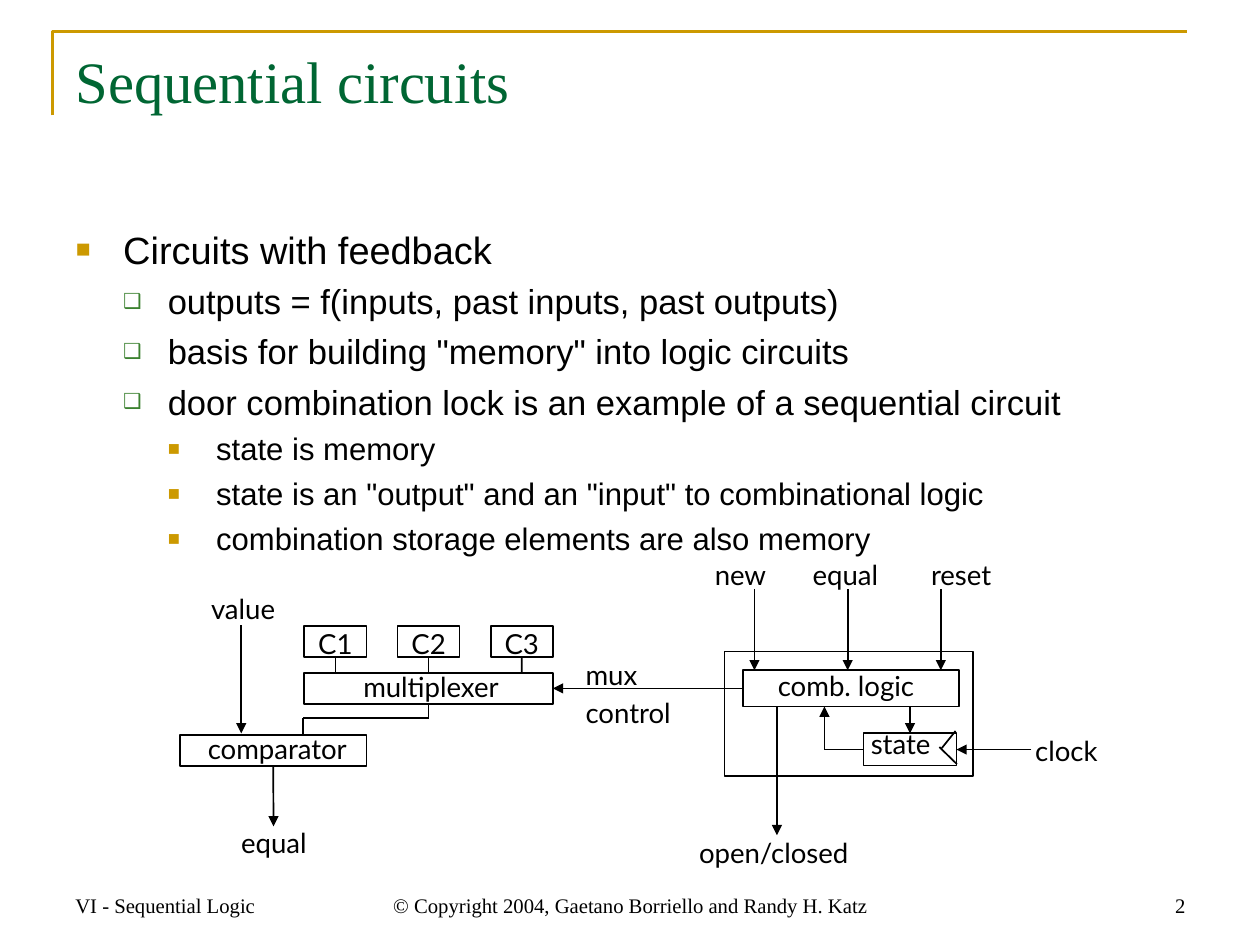
from lxml import etree
from pptx import Presentation
from pptx.dml.color import RGBColor
from pptx.enum.shapes import MSO_CONNECTOR, MSO_SHAPE
from pptx.enum.text import MSO_ANCHOR, MSO_AUTO_SIZE, PP_ALIGN
from pptx.oxml.ns import qn
from pptx.util import Cm, Pt

LEFT, CENTER, RIGHT = PP_ALIGN.LEFT, PP_ALIGN.CENTER, PP_ALIGN.RIGHT
TOP, BOTTOM = MSO_ANCHOR.TOP, MSO_ANCHOR.BOTTOM
RECT, STRAIGHT = MSO_SHAPE.RECTANGLE, MSO_CONNECTOR.STRAIGHT
NO_FIT = MSO_AUTO_SIZE.NONE

BLACK = RGBColor(0x00, 0x00, 0x00)
GOLD = RGBColor(0xCC, 0x99, 0x00)
DARK_GREEN = RGBColor(0x00, 0x66, 0x33)
LEAF_GREEN = RGBColor(0x3B, 0x81, 0x2F)
SERIF, SANS, LABEL = "Times New Roman", "Arial", "Lato"

# Per level: size, left margin, hanging indent, space before, bullet, colour, percent
LEVELS = [
    (22, 0.97, 0.97, 0, "■", GOLD, 65),
    (20, 1.88, 0.91, 5, "❑", LEAF_GREEN, 60),
    (18, 2.87, 0.99, 4.5, "■", GOLD, 65),
]
TOP_SIDE, LEFT_SIDE, BOTTOM_SIDE, RIGHT_SIDE = range(4)


class Deck:
    def __init__(self, width, height):
        self.prs = Presentation()
        self.prs.slide_width, self.prs.slide_height = width, height
        self.s = self.prs.slides.add_slide(self.prs.slide_layouts[5])

    def run(self, p, text, size, font, color=BLACK):
        r = p.add_run()
        r.text = text
        r.font.size, r.font.name = Pt(size), font
        r.font.color.rgb = color

    def title(self, text, x, y, w, h):
        sp = self.s.shapes.title
        sp.left, sp.top, sp.width, sp.height = Cm(x), Cm(y), Cm(w), Cm(h)
        tf = sp.text_frame
        tf.auto_size, tf.vertical_anchor = NO_FIT, TOP
        p = tf.paragraphs[0]
        p.alignment = LEFT
        self.run(p, text, 34, SERIF, DARK_GREEN)

    def frame(self, x, y, w, h, anchor=TOP):
        tf = self.s.shapes.add_textbox(Cm(x), Cm(y), Cm(w), Cm(h)).text_frame
        tf.word_wrap, tf.vertical_anchor = True, anchor
        return tf

    def bullets(self, items, x, y, w, h):
        tf = self.frame(x, y, w, h)
        for i, (level, text) in enumerate(items):
            size, margin, hang, before, char, color, percent = LEVELS[level]
            p = tf.paragraphs[0] if i == 0 else tf.add_paragraph()
            p.level, p.space_before = level, Pt(before)
            pPr = p._p.get_or_add_pPr()
            pPr.set("marL", str(Cm(margin)))
            pPr.set("indent", str(-Cm(hang)))
            clr = etree.SubElement(pPr, qn("a:buClr"))
            etree.SubElement(clr, qn("a:srgbClr"), val=str(color))
            etree.SubElement(pPr, qn("a:buSzPct"), val=str(percent * 1000))
            etree.SubElement(pPr, qn("a:buFont"), typeface=SANS)
            etree.SubElement(pPr, qn("a:buChar"), char=char)
            self.run(p, text, size, SANS)

    def label(self, text, x, y, w, align=CENTER, spacing=22):
        lines = text.split("\n")
        tf = self.frame(x, y, w, 0.94 if spacing == 17 else 0.34 + 0.78 * len(lines))
        tf.margin_left = tf.margin_right = Cm(0.05)
        tf.margin_top = tf.margin_bottom = Cm(0.08)
        p = tf.paragraphs[0]
        p.alignment, p.line_spacing = align, Pt(spacing)
        for i, line in enumerate(lines):
            if i:
                p.add_line_break()
            self.run(p, line, 16, LABEL)

    def footer(self, text, x, w, align):
        p = self.frame(x, 17.58, w, 1.3, BOTTOM).paragraphs[0]
        p.alignment = align
        self.run(p, text, 12, SERIF)

    def outline(self, sp, color, width):
        sp.shadow.inherit = False
        sp.fill.background()
        sp.line.color.rgb, sp.line.width = color, Pt(width)

    def box(self, x, y, w, h):
        sp = self.s.shapes.add_shape(RECT, Cm(x), Cm(y), Cm(w), Cm(h))
        self.outline(sp, BLACK, 1)
        return sp

    def polyline(self, points, color, width):
        start, *rest = [(Cm(x), Cm(y)) for x, y in points]
        builder = self.s.shapes.build_freeform(*start)
        builder.add_line_segments(rest, close=False)
        self.outline(builder.convert_to_shape(), color, width)

    def line(self, x1, y1, x2, y2, arrow=False, begin=None, end=None):
        c = self.s.shapes.add_connector(STRAIGHT, Cm(x1), Cm(y1), Cm(x2), Cm(y2))
        c.line.color.rgb, c.line.width = BLACK, Pt(1)
        if arrow:
            etree.SubElement(c.line._get_or_add_ln(), qn("a:tailEnd"), type="triangle")
        etree.SubElement(c._element.spPr, qn("a:effectLst"))
        if begin:
            c.begin_connect(*begin)
        if end:
            c.end_connect(*end)


def main():
    d = Deck(Pt(730), Pt(547.5))

    # Title with corner rule
    d.polyline([(1.07, 2.36), (1.07, 0.64), (24.26, 0.64)], GOLD, 1.5)
    d.title("Sequential circuits", 1.29, 0.79, 23.16, 3.2)

    # Bullet list
    d.bullets([
        (0, "Circuits with feedback"),
        (1, "outputs = f(inputs, past inputs, past outputs)"),
        (1, 'basis for building "memory" into logic circuits'),
        (1, "door combination lock is an example of a sequential circuit"),
        (2, "state is memory"),
        (2, 'state is an "output" and an "input" to combinational logic'),
        (2, "combination storage elements are also memory"),
    ], 1.3, 4.5, 23.16, 12.75)

    # Datapath: stored codes, multiplexer, comparator
    mux = d.box(6.22, 13.75, 5.08, 0.64)
    comparator = d.box(3.68, 15.02, 3.81, 0.64)
    pitch = 1.905
    for i, code in enumerate(("C1", "C2", "C3")):
        x = 6.22 + i * pitch
        cell = d.box(x, 12.79, 1.27, 0.64)
        d.label(code, x, 12.63, 1.27)
        middle = x + 0.635
        d.line(middle, 13.43, middle, 13.75, begin=(cell, BOTTOM_SIDE),
               end=(mux, TOP_SIDE) if i == 1 else None)
    d.label("multiplexer", 7.11, 13.69, 3.4, spacing=17)
    d.label("comparator", 3.97, 14.96, 3.4, spacing=17)
    d.line(8.76, 14.39, 8.76, 14.68, begin=(mux, BOTTOM_SIDE))
    d.line(8.76, 14.68, 6.2, 14.68)
    d.line(6.2, 14.68, 6.2, 15)
    d.label("value", 3.61, 11.92, 2.72)
    d.line(4.93, 12.78, 4.93, 14.99, arrow=True)
    d.label("equal", 4.24, 16.7, 2.72)
    d.line(5.59, 15.66, 5.59, 16.89, arrow=True, begin=(comparator, BOTTOM_SIDE))

    # Controller: combinational logic and state register
    d.box(14.81, 13.32, 5.08, 2.54)
    logic = d.box(15.19, 13.7, 4.42, 0.74)
    state = d.box(17.65, 14.99, 1.9, 0.66)
    d.label("comb. logic", 15.85, 13.67, 4.42, LEFT, 17)
    d.label("state", 17.75, 14.86, 2.57, LEFT, 17)
    d.line(19.56, 15.62, 19.2, 15.27)
    d.line(19.25, 15.29, 19.53, 14.94)
    d.line(18.6, 14.44, 18.6, 14.99, arrow=True, end=(state, TOP_SIDE))
    d.line(17.65, 15.32, 16.85, 15.32, begin=(state, LEFT_SIDE))
    d.line(16.85, 15.32, 16.85, 14.44, arrow=True)

    # Controller inputs and outputs
    for i, (name, x, align) in enumerate((
            ("new", 13.33, RIGHT), ("equal", 16.09, CENTER), ("reset", 18.98, LEFT))):
        d.label(name, x, 11.23, 2.38, align)
        d.line(15.42 + i * pitch, 12.04, 15.42 + i * pitch, 13.7, arrow=True)
    d.line(15.19, 14.07, 11.3, 14.07, arrow=True,
           begin=(logic, LEFT_SIDE), end=(mux, RIGHT_SIDE))
    d.label("mux\ncontrol", 11.92, 13.27, 2.39, LEFT)
    d.line(21.08, 15.32, 19.55, 15.32, arrow=True, end=(state, RIGHT_SIDE))
    d.label("clock", 21.11, 14.82, 2.36, LEFT)
    d.line(15.88, 14.44, 15.88, 17.07, arrow=True)
    d.label("open/closed", 13.67, 16.9, 4.29)

    # Footer
    d.footer("VI - Sequential Logic", 1.29, 6.02, LEFT)
    d.footer("© Copyright 2004, Gaetano Borriello and Randy H. Katz", 7.53, 10.72, CENTER)
    d.footer("2", 18.46, 6.02, RIGHT)

    d.prs.save("out.pptx")


if __name__ == "__main__":
    main()
